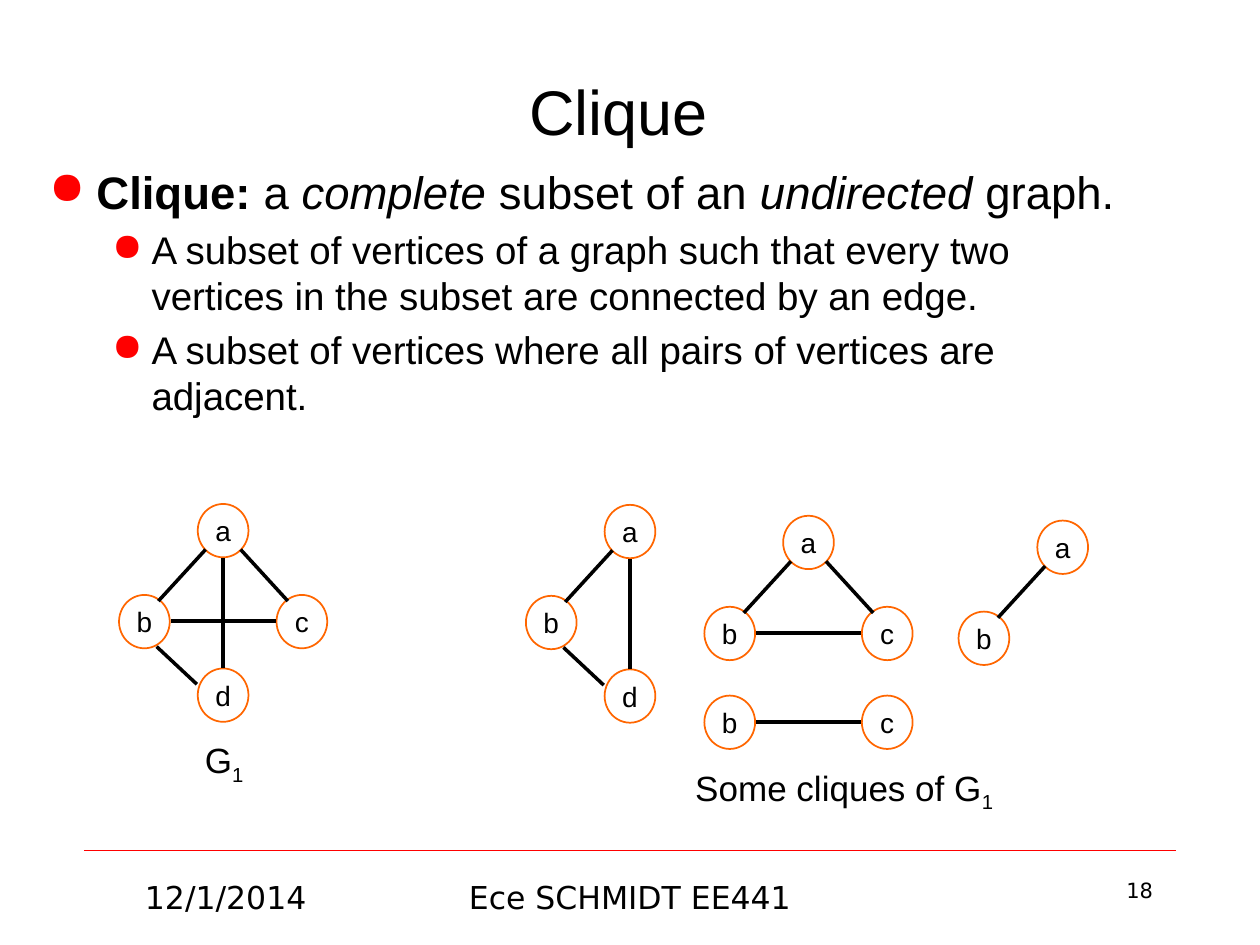
"""Build the slide that defines a clique and shows examples in a graph."""
import pptx
import pptx.dml.color
import pptx.enum.shapes
import pptx.enum.text
import pptx.oxml
import pptx.oxml.ns
import pptx.util

Pt = pptx.util.Pt
ALIGN = pptx.enum.text.PP_ALIGN
ANCHOR = pptx.enum.text.MSO_ANCHOR
qn = pptx.oxml.ns.qn


def paint(target, color):
    if hasattr(target, "solid"):
        target.solid()
        target = target.fore_color
    else:
        target = target.color
    target.rgb = pptx.dml.color.RGBColor.from_string(color)


def write(paragraph, pieces, **base):
    for text, extra in pieces:
        run = paragraph.add_run()
        run.text = text
        formats = {"name": "Arial", **base, **extra}
        baseline = formats.pop("baseline", None)
        for key, value in formats.items():
            setattr(run.font, key, value)
        paint(run.font, "000000")
        if baseline:
            run._r.get_or_add_rPr().set("baseline", baseline)


deck = pptx.Presentation()
deck.slide_width, deck.slide_height = Pt(720), Pt(540)
slide = deck.slides.add_slide(deck.slide_layouts[6])

subscript = ("1", {"baseline": "-25000"})
labels = [
    ((47.5, 18, 612, 90), [("Clique", {})], 36, "Arial", ALIGN.CENTER, ANCHOR.MIDDLE, True),
    ((388.8, 435.6, 187.2, 31.7), [("Some cliques of G", {}), subscript], 20, "Arial",
     ALIGN.CENTER, ANCHOR.MIDDLE, False),
    ((109.4, 419.8, 37.4, 31.7), [("G", {}), subscript], 20, "Arial",
     ALIGN.CENTER, ANCHOR.MIDDLE, False),
    ((516, 498, 150, 36), [("18", {})], 12, "DejaVu Sans", ALIGN.RIGHT, ANCHOR.TOP, True),
    ((54, 498, 150, 36), [("12/1/2014", {})], 18, "DejaVu Sans", ALIGN.CENTER, ANCHOR.TOP, True),
    ((246, 498, 228, 36), [("Ece SCHMIDT EE441", {})], 18, "DejaVu Sans",
     ALIGN.CENTER, ANCHOR.TOP, True),
]
for place, pieces, size, font, align, anchor, wrap in labels:
    frame = slide.shapes.add_textbox(*map(Pt, place)).text_frame
    for key, value in {"word_wrap": wrap, "vertical_anchor": anchor}.items():
        setattr(frame, key, value)
    frame.paragraphs[0].alignment = align
    write(frame.paragraphs[0], pieces, size=Pt(size), name=font)

definition = slide.shapes.add_textbox(Pt(21), Pt(90), Pt(630), Pt(174)).text_frame
definition.word_wrap = True
points = [
    (0, 26, 27, 27, [("Clique: ", {"bold": True}), ("a ", {}), ("complete", {"italic": True}),
                     (" subset of an ", {}), ("undirected", {"italic": True}), (" graph.", {})]),
    (1, 22, 58.5, 22.5, [("A subset of vertices of a graph such that every two "
                          "vertices in the subset are connected by an edge.", {})]),
    (1, 22, 58.5, 22.5, [("A subset of vertices where all pairs of vertices are adjacent.", {})]),
]
for index, (level, size, margin, hanging, pieces) in enumerate(points):
    point = definition.add_paragraph() if index else definition.paragraphs[0]
    for key, value in {"level": level, "space_before": Pt(size * 0.2)}.items():
        setattr(point, key, value)
    properties = point._p.get_or_add_pPr()
    properties.set("marL", str(Pt(margin)))
    properties.set("indent", str(-Pt(hanging)))
    bullet_color = pptx.oxml.parse_xml(
        '<a:buClr xmlns:a="http://schemas.openxmlformats.org/drawingml/2006/main">'
        '<a:srgbClr val="FF0000"/></a:buClr>')
    properties.append(bullet_color)
    properties.append(properties.makeelement(qn("a:buChar"), {"char": "●"}))
    write(point, pieces, size=Pt(size))

vertex_offsets = {"a": (0, 0), "b": (-45, 52), "c": (45, 52), "d": (0, 94)}
edge_offsets = {
    "ad": (14.5, 31, 14.5, 94),
    "bc": (-15.5, 67, 44.5, 67),
    "ab": (4.5, 26, -22.5, 55.5),
    "ac": (24.5, 26, 51.5, 55.5),
    "bd": (-23.5, 81.5, -0.5, 103),
}
graphs = [
    (113, 288, "abcd", ["ad", "bc", "ab", "ac", "bd"]),
    (345.5, 288.5, "abd", ["ad", "ab", "bd"]),
    (447.5, 294.75, "abc", ["bc", "ab", "ac"]),
    (592.75, 297.5, "ab", ["ab"]),
    (447.5, 345.5, "bc", ["bc"]),
]
lines = []
for left, top, vertices, edges in graphs:
    graph = slide.shapes.add_group_shape().shapes
    for letter in vertices:
        dx, dy = vertex_offsets[letter]
        vertex = graph.add_shape(pptx.enum.shapes.MSO_SHAPE.OVAL,
                                 Pt(left + dx), Pt(top + dy), Pt(29), Pt(30.5))
        vertex.shadow.inherit = False
        paint(vertex.fill, "FFFFFF")
        paint(vertex.line, "FF6600")
        vertex.line.width = Pt(1)
        for key, value in {"word_wrap": False, "vertical_anchor": ANCHOR.MIDDLE}.items():
            setattr(vertex.text_frame, key, value)
        vertex.text_frame.paragraphs[0].alignment = ALIGN.CENTER
        write(vertex.text_frame.paragraphs[0], [(letter, {})], size=Pt(16))
    for edge in edges:
        x1, y1, x2, y2 = edge_offsets[edge]
        lines.append((graph, (left + x1, top + y1, left + x2, top + y2), "000000", 2))

lines.append((slide.shapes, (48, 486, 672, 486), "FF0000", 0.25))
for owner, ends, color, width in lines:
    line = owner.add_connector(pptx.enum.shapes.MSO_CONNECTOR.STRAIGHT, *map(Pt, ends))
    paint(line.line, color)
    line.line.width = Pt(width)
    line._element.spPr.append(line._element.makeelement(qn("a:effectLst"), {}))

deck.save("out.pptx")
